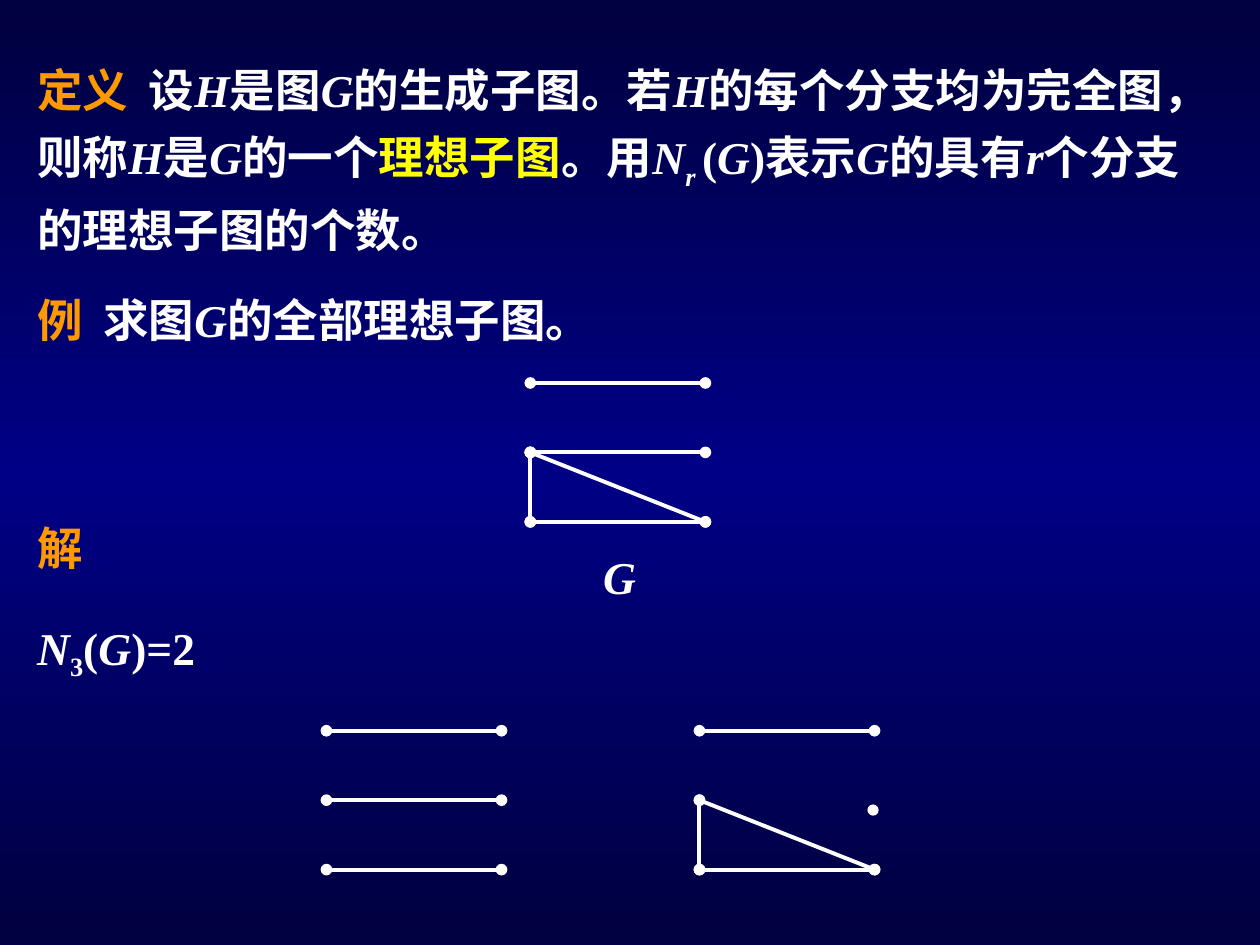
import copy
import dataclasses

import lxml.etree
import pptx
import pptx.dml.color
import pptx.enum.shapes
import pptx.enum.text
import pptx.oxml.ns
import pptx.util

Cm = pptx.util.Cm
Pt = pptx.util.Pt
qn = pptx.oxml.ns.qn
Color = pptx.dml.color.RGBColor.from_string


@dataclasses.dataclass(frozen=True)
class Theme:
    white: str = "FFFFFF"
    orange: str = "FF9900"
    yellow: str = "FFFF00"
    dark: str = "00003E"
    blue: str = "000086"
    font: str = "Times New Roman"
    size: float = 26
    line: float = 2.25
    thin: float = 0.75
    lead: float = 1.2
    wide: float = 3.53
    step: float = 1.4


class Deck:
    def __init__(self, theme):
        self.theme = theme
        self.file = pptx.Presentation()
        self.file.slide_width = Cm(25.4)
        self.file.slide_height = Cm(19.05)
        self.slide = self.file.slides.add_slide(self.file.slide_layouts[6])

    def back(self):
        fill = self.slide.background.fill
        fill.gradient()
        fill.gradient_angle = 270
        first = fill.gradient_stops[0]._gs
        first.addnext(copy.deepcopy(first))
        colors = (self.theme.dark, self.theme.blue, self.theme.dark)
        for stop, color, place in zip(fill.gradient_stops, colors, (0, 0.5, 1)):
            stop.color.rgb = Color(color)
            stop.position = place

    def group(self):
        return self.slide.shapes.add_group_shape().shapes

    def text(self, left, top, width, height, parts, tab=None, shapes=None):
        shapes = shapes or self.slide.shapes
        box = shapes.add_textbox(Cm(left), Cm(top), Cm(width), Cm(height))
        frame = box.text_frame
        frame.word_wrap = True
        frame.auto_size = pptx.enum.text.MSO_AUTO_SIZE.SHAPE_TO_FIT_TEXT
        para = frame.paragraphs[0]
        if tab:
            stops = lxml.etree.SubElement(para._p.get_or_add_pPr(), qn("a:tabLst"))
            lxml.etree.SubElement(stops, qn("a:tab"), pos=str(Cm(tab)), algn="l")
        para.line_spacing = self.theme.lead
        for words, marks in parts:
            run = para.add_run()
            run.text = words
            self.style(run, marks)

    def style(self, run, marks):
        theme = self.theme
        font = run.font
        font.name = theme.font
        font.size = Pt(theme.size)
        font.bold = True
        font.italic = "i" in marks
        color = theme.orange if "o" in marks else theme.yellow if "y" in marks else theme.white
        font.color.rgb = Color(color)
        if "s" in marks:
            run._r.get_or_add_rPr().set("baseline", "-25000")

    def edge(self, shapes, start, end):
        line = shapes.add_connector(
            pptx.enum.shapes.MSO_CONNECTOR.STRAIGHT, *map(Cm, start + end))
        line.line.color.rgb = Color(self.theme.white)
        line.line.width = Pt(self.theme.line)
        for tag in ("a:headEnd", "a:tailEnd"):
            lxml.etree.SubElement(line.line._get_or_add_ln(), qn(tag), type="oval")
        lxml.etree.SubElement(line._element.spPr, qn("a:effectLst"))

    def graph(self, left, top, edges):
        shapes = self.group()
        for pair in edges:
            ends = [(left + col * self.theme.wide, top + row * self.theme.step)
                    for col, row in pair]
            self.edge(shapes, *ends)
        return shapes

    def dot(self, shapes, left, top, size):
        shape = shapes.add_shape(
            pptx.enum.shapes.MSO_SHAPE.OVAL, Cm(left), Cm(top), Cm(size), Cm(size))
        shape.shadow.inherit = False
        shape.fill.solid()
        shape.fill.fore_color.rgb = Color(self.theme.white)
        shape.line.color.rgb = Color(self.theme.white)
        shape.line.width = Pt(self.theme.thin)


def main():
    deck = Deck(Theme())
    deck.back()

    deck.text(0.5, 0.91, 24, 4.4, [
        ("定义", "o"), ("\t设", ""), ("H", "i"), ("是图", ""), ("G", "i"),
        ("的生成子图。若", ""), ("H", "i"), ("的每个分支均为完全图，则称", ""),
        ("H", "i"), ("是", ""), ("G", "i"), ("的一个", ""), ("理想子图", "y"),
        ("。用", ""), ("N", "i"), ("r ", "is"), ("(", ""), ("G", "i"),
        (")表示", ""), ("G", "i"), ("的具有", ""), ("r", "i"),
        ("个分支的理想子图的个数。", ""),
    ], tab=2.25)
    deck.text(0.5, 5.54, 18, 1.57, [
        ("例", "o"), ("\t求图", ""), ("G", "i"), ("的全部理想子图。", ""),
    ], tab=1.33)

    top, mid, low = [((0, row), (1, row)) for row in range(3)]
    side = ((0, 1), (0, 2))
    slant = ((0, 1), (1, 2))

    whole = deck.graph(10.69, 7.72, [top, mid, side, low, slant])
    deck.text(11.91, 10.72, 1.4, 1.57, [("G", "i")], shapes=whole)

    deck.text(0.5, 10.13, 2.6, 1.57, [("解", "o")])
    deck.text(0.5, 12.12, 4.4, 1.75, [
        ("N", "i"), ("3", "s"), ("(", ""), ("G", "i"), (")=2", ""),
    ])

    deck.graph(6.58, 14.73, [top, mid, low])
    right = deck.graph(14.1, 14.73, [top, side, low, slant])
    deck.dot(right, 17.5, 16.23, 0.2)

    deck.file.save("out.pptx")


if __name__ == "__main__":
    main()
